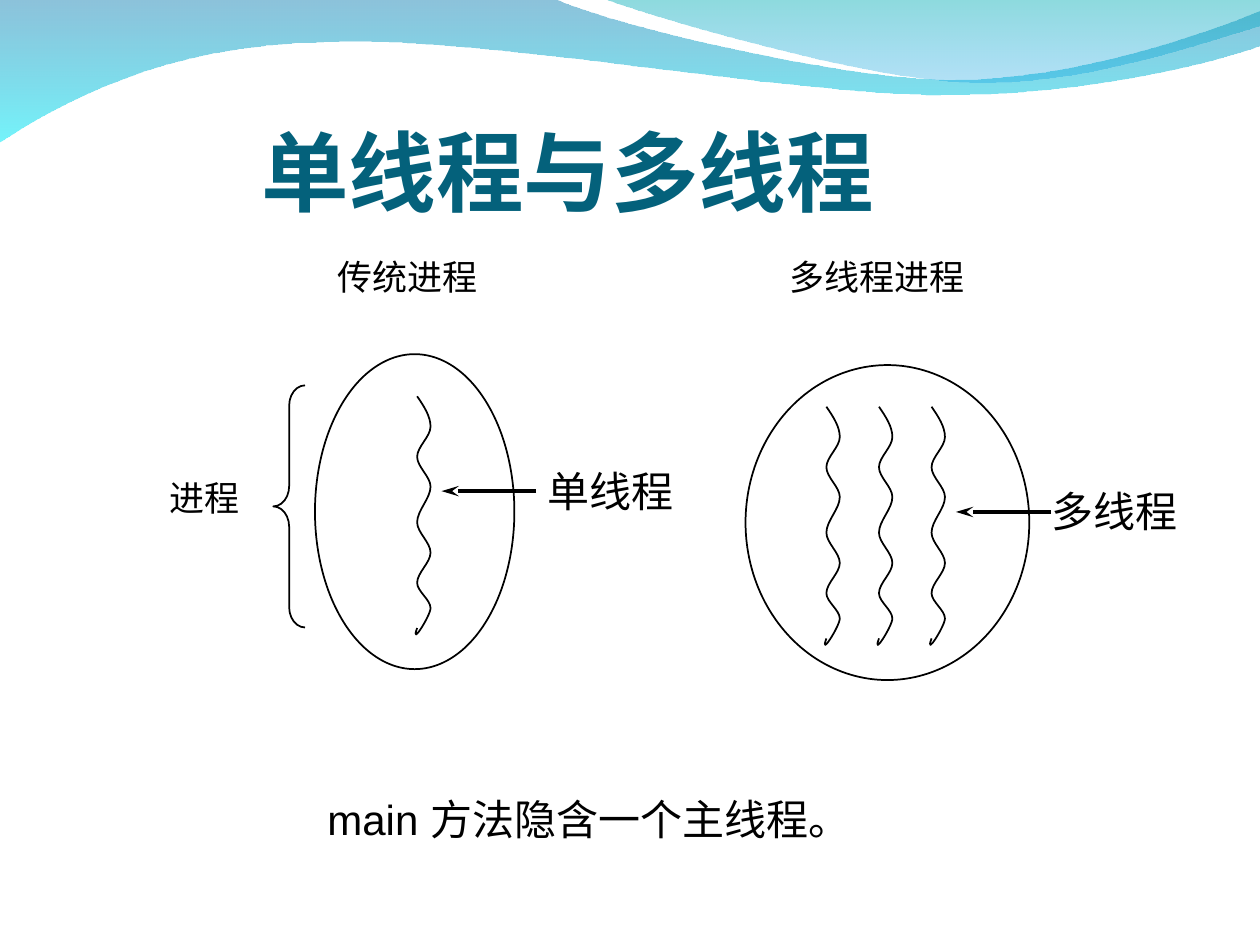
from pptx import Presentation
from pptx.dml.color import RGBColor
from pptx.enum.shapes import MSO_CONNECTOR as Connector, MSO_SHAPE as Shape
from pptx.enum.text import MSO_ANCHOR as Anchor, MSO_AUTO_SIZE as AutoSize
from pptx.oxml.ns import qn
from pptx.util import Cm, Pt
from lxml.etree import SubElement

color = RGBColor.from_string

presentation = Presentation()
presentation.slide_width = Cm(25.4)
presentation.slide_height = Cm(19.05)
slide = presentation.slides.add_slide(presentation.slide_layouts[6])


def add_outline(start, segments, close=False):
    builder = slide.shapes.build_freeform(Cm(start[0]), Cm(start[1]))
    points = [(Cm(x), Cm(y)) for segment in segments for x, y in segment]
    builder.add_line_segments(points, close=close)
    shape = builder.convert_to_shape()
    shape.shadow.inherit = False
    lines = iter(list(shape._element.spPr.iter(qn("a:lnTo"))))
    for segment in segments:
        pieces = [next(lines) for point in segment]
        if len(pieces) == 3:
            curve = pieces[0].makeelement(qn("a:cubicBezTo"))
            pieces[0].addprevious(curve)
            for piece in pieces:
                curve.append(piece[0])
                piece.getparent().remove(piece)
    return shape


def add_text(text, left, top, width, height, size, font="Arial", fill="000000"):
    box = slide.shapes.add_textbox(Cm(left), Cm(top), Cm(width), Cm(height))
    frame = box.text_frame
    frame.word_wrap = True
    frame.auto_size = AutoSize.SHAPE_TO_FIT_TEXT
    run = frame.paragraphs[0].add_run()
    run.text = text
    run.font.size = Pt(size)
    run.font.name = font
    run.font.color.rgb = color(fill)
    return frame, run


large_wave = add_outline((0, -0.02), [
    [(11.18, -0.02)],
    [(12.09, 0.43), (16.87, 1.6), (19.25, 1.6)],
    [(21.67, 1.6), (24.33, 0.66), (25.4, 0.23)],
    [(25.43, 0.91)],
    [(24.97, 1.12), (22.1, 1.93), (18.95, 1.91)],
    [(15.8, 1.91), (9.7, 0.71), (6.53, 0.86)],
    [(3.28, 0.89), (1.17, 2.11), (-0.02, 2.87)],
], close=True)
small_wave = add_outline((12.17, -0.02), [
    [(12.93, 0.28), (17.32, 1.57), (19.53, 1.65)],
    [(21.74, 1.75), (24.41, 0.81), (25.4, 0.53)],
    [(25.4, 0)],
], close=True)
for shape, stops in (
    (large_wave, (("0079AF", 45), ("00EBF8", 55))),
    (small_wave, (("00ADB6", 45), ("009BE5", 30))),
):
    shape.line.fill.background()
    shape.fill.gradient()
    shape.fill.gradient_angle = 270
    for stop, (fill, opacity) in zip(shape.fill.gradient_stops, stops):
        stop.color.rgb = color(fill)
    shades = shape._element.spPr.iter(qn("a:srgbClr"))
    for shade, (fill, opacity) in zip(shades, stops):
        SubElement(shade, qn("a:alpha"), val=str(opacity * 1000))

frame, run = add_text("单线程与多线程", 5.27, 2.13, 16.33, 2.36, 50, "Cambria", "04617B")
frame.auto_size = AutoSize.NONE
frame.vertical_anchor = Anchor.BOTTOM
frame.margin_left = frame.margin_right = frame.margin_bottom = 0
run.font.bold = True

outlines = []
for kind, left, top, width, height in (
    (Shape.OVAL, 6.35, 7.14, 4.02, 6.35),
    (Shape.OVAL, 15.03, 7.36, 5.72, 6.35),
    (Shape.LEFT_BRACE, 5.51, 7.77, 0.64, 4.88),
):
    shape = slide.shapes.add_shape(kind, Cm(left), Cm(top), Cm(width), Cm(height))
    shape.shadow.inherit = False
    outlines.append(shape)
outlines[-1].adjustments[0] = 0.64

wave_width = 0.27
wave_turns = (0, 0.61, 1.22, 1.82, 2.54, 3.15, 3.76, 4.27)
thread_starts = [(8.41, 7.99)] + [(16.66 + 1.06 * i, 8.2) for i in range(3)]
for left, top in thread_starts:
    segments = []
    for i, (upper, lower) in enumerate(zip(wave_turns, wave_turns[1:])):
        x_from, x_to = (left, left + wave_width) if i % 2 == 0 else (left + wave_width, left)
        lean = 0.14 if i == 0 else 0
        third = (lower - upper) / 3
        segments.append([
            (x_from + lean, top + upper + third),
            (x_to, top + lower - third),
            (x_to, top + lower),
        ])
    segments.append([(left + wave_width, top + 4.42), (left - 0.15, top + 5.08), (left, top + 4.67)])
    outlines.append(add_outline((left, top), segments))

for shape in outlines:
    shape.fill.background()
    shape.line.color.rgb = color("000000")
    shape.line.width = Pt(1)

for right, y in ((10.81, 9.9), (21.18, 10.32)):
    arrow = slide.shapes.add_connector(Connector.STRAIGHT, Cm(right), Cm(y), Cm(right - 1.91), Cm(y))
    arrow.line.color.rgb = color("000000")
    arrow.line.width = Pt(2)
    SubElement(arrow.line._get_or_add_ln(), qn("a:tailEnd"), type="stealth", w="med", len="lg")
    SubElement(arrow._element.spPr, qn("a:effectLst"))

for text, left, top, width, height, size in (
    ("传统进程", 6.56, 5.03, 5.72, 1.11, 20),
    ("多线程进程", 15.67, 5.03, 5.93, 1.11, 20),
    ("进程", 3.16, 9.49, 2.75, 1.11, 20),
    ("单线程", 10.78, 9.26, 3.39, 1.27, 24),
    ("多线程", 20.94, 9.67, 3.39, 1.27, 24),
    ("main 方法隐含一个主线程。", 6.35, 15.88, 13.28, 1.27, 24),
):
    add_text(text, left, top, width, height, size)

presentation.save("out.pptx")
